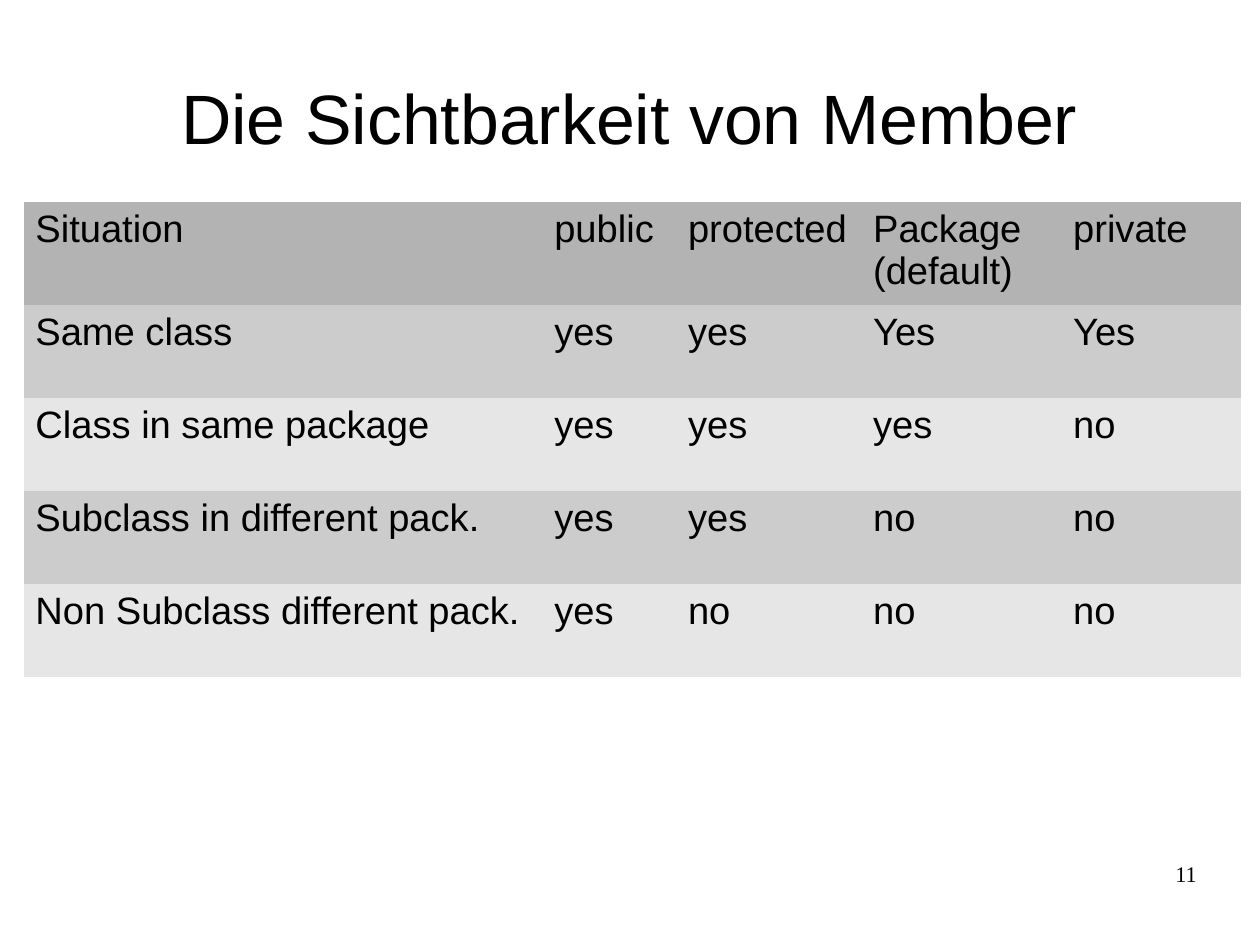
from pptx import Presentation
from pptx.dml.color import RGBColor
from pptx.enum.text import MSO_ANCHOR, PP_ALIGN
from pptx.oxml.ns import qn
from pptx.util import Inches, Pt

LEFT, CENTER, RIGHT = PP_ALIGN.LEFT, PP_ALIGN.CENTER, PP_ALIGN.RIGHT
TOP, MIDDLE = MSO_ANCHOR.TOP, MSO_ANCHOR.MIDDLE

COLORS = {"text": "000000", "header": "B3B3B3", "odd": "CCCCCC", "even": "E6E6E6"}
PLAIN_TABLE_STYLE = "{2D5ABB26-0587-4C30-8999-92F81FD0307C}"

CM_PER_INCH = 2.54
COLUMN_WIDTHS = [4.54, 1.17, 1.62, 1.75, 1.57]
HEADER_HEIGHT, ROW_HEIGHT = 0.9, 4.07 / 5
VISIBILITY = [
    ["Situation", "public", "protected", "Package\n(default)", "private"],
    ["Same class", "yes", "yes", "Yes", "Yes"],
    ["Class in same package", "yes", "yes", "yes", "no"],
    ["Subclass in different pack.", "yes", "yes", "no", "no"],
    ["Non Subclass different pack.", "yes", "no", "no", "no"],
]


def write_text(frame, text, size, font="Arial", align=LEFT):
    """Write one paragraph per line of text."""
    for index, line in enumerate(text.split("\n")):
        para = frame.add_paragraph() if index else frame.paragraphs[0]
        para.alignment = align
        span = para.add_run()
        span.text = line
        span.font.name = font
        span.font.size = Pt(size)
        span.font.bold = False
        span.font.color.rgb = RGBColor.from_string(COLORS["text"])


def add_text_box(page, left, top, width, height, text, size, font, align, anchor):
    box = page.shapes.add_textbox(Inches(left), Inches(top), Inches(width), Inches(height))
    frame = box.text_frame
    frame.word_wrap = True
    frame.vertical_anchor = anchor
    frame.margin_left = frame.margin_right = frame.margin_top = frame.margin_bottom = 0
    write_text(frame, text, size, font, align)


def row_color(row_number):
    if row_number == 0:
        return COLORS["header"]
    return COLORS["odd" if row_number % 2 else "even"]


def add_visibility_table(page, left, top):
    heights = [HEADER_HEIGHT] + [ROW_HEIGHT] * (len(VISIBILITY) - 1)
    holder = page.shapes.add_table(
        len(heights), len(COLUMN_WIDTHS), Inches(left), Inches(top),
        Inches(sum(COLUMN_WIDTHS)), Inches(sum(heights)))
    table = holder.table

    # Style without borders
    table._tbl.tblPr.find(qn("a:tableStyleId")).text = PLAIN_TABLE_STYLE

    for column, width in zip(table.columns, COLUMN_WIDTHS):
        column.width = Inches(width)
    for row_number, (row, height) in enumerate(zip(table.rows, heights)):
        row.height = Inches(height)
        for cell, text in zip(row.cells, VISIBILITY[row_number]):
            cell.fill.solid()
            cell.fill.fore_color.rgb = RGBColor.from_string(row_color(row_number))
            write_text(cell.text_frame, text, 24)


def main():
    # Page of 28 by 21 centimetres
    deck = Presentation()
    deck.slide_width = Inches(28 / CM_PER_INCH)
    deck.slide_height = Inches(21 / CM_PER_INCH)
    page = deck.slides.add_slide(deck.slide_layouts[6])

    # Title
    add_text_box(page, 0.55, 0.33, 9.92, 1.38,
                 "Die Sichtbarkeit von Member", 44, "Arial", CENTER, MIDDLE)
    # Visibility by situation
    add_visibility_table(page, 0.21, 1.77)
    # Page number
    add_text_box(page, 7.9, 7.53, 2.57, 0.57,
                 "11", 14, "Times New Roman", RIGHT, TOP)

    deck.save("out.pptx")


if __name__ == "__main__":
    main()
